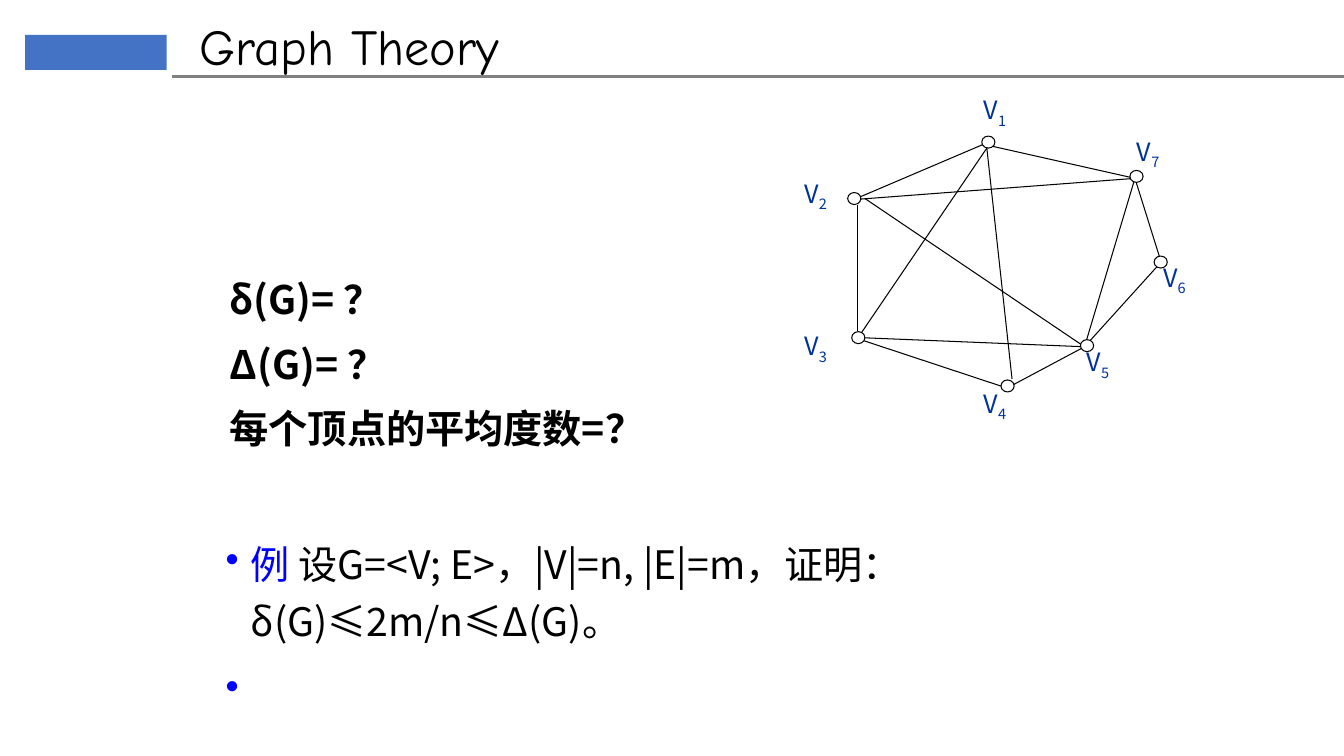
from dataclasses import dataclass
from typing import Any, Optional

import lxml.etree
import pptx
import pptx.dml.color
import pptx.enum.shapes
import pptx.oxml.ns
import pptx.util

Pt = pptx.util.Pt
qn = pptx.oxml.ns.qn
MSO_SHAPE = pptx.enum.shapes.MSO_SHAPE
Point = tuple[float, float]

COLORS = {"black": "000000", "white": "FFFFFF", "rule": "808080",
          "badge": "4472C4", "accent": "0000FF", "label": "003399"}
CJK = "Noto Sans CJK SC"
TITLE_FONT = {"name": "Comic Neue", "size": Pt(36)}
QUESTION_FONT = {"name": CJK, "size": Pt(28), "bold": True}
EXAMPLE_FONT = {"name": CJK, "size": Pt(28)}
LABEL_FONT = {"name": CJK, "size": Pt(18)}
LABEL_MARGINS = {"margin_left": Pt(1.4), "margin_right": Pt(1.4),
                 "margin_top": 0, "margin_bottom": 0}
NODE_SIZE = (9.4, 8.6)
LABEL_SIZE = (36.7, 30.2)


@dataclass
class Vertex:
    anchor: Point
    circle: Point
    label: Point


@dataclass
class Edge:
    """Joins two vertices; start or end replaces a vertex's anchor."""
    tail: int
    head: int
    start: Optional[Point] = None
    end: Optional[Point] = None


VERTICES = {
    1: Vertex((704.9, 105.8), (701.3, 97.2), (701.3, 67.7)),
    2: Vertex((609.8, 142.6), (605.5, 137.5), (573.1, 127.4)),
    3: Vertex((609.8, 241), (608.4, 236.9), (573.1, 236.2)),
    4: Vertex((719.3, 277.2), (715, 271.4), (701.3, 277.2)),
    5: Vertex((774.7, 247.7), (771.8, 242.6), (774.7, 247.7)),
    6: Vertex((829.4, 187.2), (824.4, 182.9), (829.4, 187.2)),
    7: Vertex((810.7, 127.4), (807.1, 121.7), (810.7, 97.2)),
}
EDGES = [
    Edge(1, 7, start=(708.5, 104.4)),
    Edge(1, 2, start=(702.7, 103)),
    Edge(1, 3, end=(613.4, 240.5)),
    Edge(2, 5, start=(617.8, 141.8)),
    Edge(3, 2, start=(612.7, 236.2), end=(612.7, 146.2)),
    Edge(4, 1, start=(722.9, 270.7)),
    Edge(3, 4), Edge(3, 5), Edge(4, 5), Edge(5, 7),
    Edge(5, 6), Edge(6, 7), Edge(7, 2),
]


def rgb(color: str) -> pptx.dml.color.RGBColor:
    return pptx.dml.color.RGBColor.from_string(COLORS[color])


def apply(target: Any, values: dict[str, Any]) -> None:
    for attribute, value in values.items():
        setattr(target, attribute, value)


def add_text_frame(shapes: Any, at: Point, size: Point,
                   margins: Optional[dict[str, Any]] = None) -> Any:
    frame = shapes.add_textbox(*map(Pt, at + size)).text_frame
    frame.word_wrap = True
    apply(frame, margins or {})
    return frame


def add_run(paragraph: Any, text: str, font: dict[str, Any], color: str) -> Any:
    """Adds a run whose font also serves East Asian characters."""
    run = paragraph.add_run()
    run.text = text
    apply(run.font, font)
    run.font.color.rgb = rgb(color)
    properties = run.font._element
    east_asian = lxml.etree.SubElement(properties, qn("a:ea"))
    east_asian.set("typeface", font["name"])
    properties.find(qn("a:latin")).addnext(east_asian)
    return run


def next_paragraph(frame: Any, space_before: float) -> Any:
    """Returns the unused first paragraph, or a new one with space before it."""
    paragraph = frame.paragraphs[0]
    if paragraph.runs:
        paragraph = frame.add_paragraph()
        paragraph.space_before = Pt(space_before)
    paragraph.line_spacing = 1.2
    return paragraph


def hang(paragraph: Any, indent: float, bullet: str = "") -> None:
    properties = paragraph._p.get_or_add_pPr()
    properties.set("marL", str(Pt(indent)))
    properties.set("indent", str(-Pt(indent)))
    if bullet:
        color = lxml.etree.SubElement(properties, qn("a:buClr"))
        lxml.etree.SubElement(color, qn("a:srgbClr")).set("val", COLORS["accent"])
        lxml.etree.SubElement(properties, qn("a:buChar")).set("char", bullet)


def add_line(shapes: Any, start: Point, end: Point, color: str, width: float) -> None:
    line = shapes.add_connector(
        pptx.enum.shapes.MSO_CONNECTOR.STRAIGHT, *map(Pt, start + end))
    line.line.color.rgb = rgb(color)
    line.line.width = Pt(width)
    lxml.etree.SubElement(line._element.spPr, qn("a:effectLst"))


def add_filled_shape(shapes: Any, preset: Any, at: Point, size: Point, fill: str) -> Any:
    shape = shapes.add_shape(preset, *map(Pt, at + size))
    shape.shadow.inherit = False
    shape.fill.solid()
    shape.fill.fore_color.rgb = rgb(fill)
    return shape


def add_header(shapes: Any) -> None:
    badge = add_filled_shape(shapes, MSO_SHAPE.RECTANGLE, (18, 25), (101, 25), "badge")
    badge.line.fill.background()
    add_line(shapes, (123.1, 54.7), (960, 54.7), "rule", 2)
    title = add_text_frame(shapes, (135.4, 7.2), (620.6, 51.1))
    add_run(title.paragraphs[0], "Graph Theory", TITLE_FONT, "black")


def add_example(shapes: Any) -> None:
    frame = add_text_frame(shapes, (154.1, 375.8), (601.2, 136.1))
    statement = "设G=<V; E>，|V|=n, |E|=m，证明：δ(G)≤2m/n≤Δ(G)。"
    for lead, body in (("例 ", statement), (" ", "")):
        paragraph = next_paragraph(frame, 10)
        hang(paragraph, 18, "•")
        add_run(paragraph, lead, EXAMPLE_FONT, "accent")
        if body:
            add_run(paragraph, body, EXAMPLE_FONT, "black")


def add_questions(shapes: Any) -> None:
    frame = add_text_frame(shapes, (157, 186.6), (314.6, 181))
    for question in ("δ(G)= ？", "Δ(G)= ？", "每个顶点的平均度数=？"):
        paragraph = next_paragraph(frame, 5.6)
        hang(paragraph, 27)
        add_run(paragraph, question, QUESTION_FONT, "black")


def add_vertex(shapes: Any, number: int, vertex: Vertex) -> None:
    node = add_filled_shape(shapes, MSO_SHAPE.FLOWCHART_CONNECTOR,
                            vertex.circle, NODE_SIZE, "white")
    node.line.color.rgb = rgb("black")
    node.line.width = Pt(0.75)
    label = add_text_frame(shapes, vertex.label, LABEL_SIZE, LABEL_MARGINS)
    add_run(label.paragraphs[0], "V", LABEL_FONT, "label")
    subscript = add_run(label.paragraphs[0], str(number), LABEL_FONT, "label")
    subscript.font._element.set("baseline", "-25000")


def add_graph(shapes: Any) -> None:
    graph = shapes.add_group_shape().shapes
    for edge in EDGES:
        add_line(graph, edge.start or VERTICES[edge.tail].anchor,
                 edge.end or VERTICES[edge.head].anchor, "black", 0.75)
    for number, vertex in VERTICES.items():
        add_vertex(graph, number, vertex)


def main() -> None:
    deck = pptx.Presentation()
    deck.slide_width, deck.slide_height = Pt(960), Pt(540)
    shapes = deck.slides.add_slide(deck.slide_layouts[6]).shapes
    add_header(shapes)
    add_example(shapes)
    add_questions(shapes)
    add_graph(shapes)
    deck.save("out.pptx")


if __name__ == "__main__":
    main()
